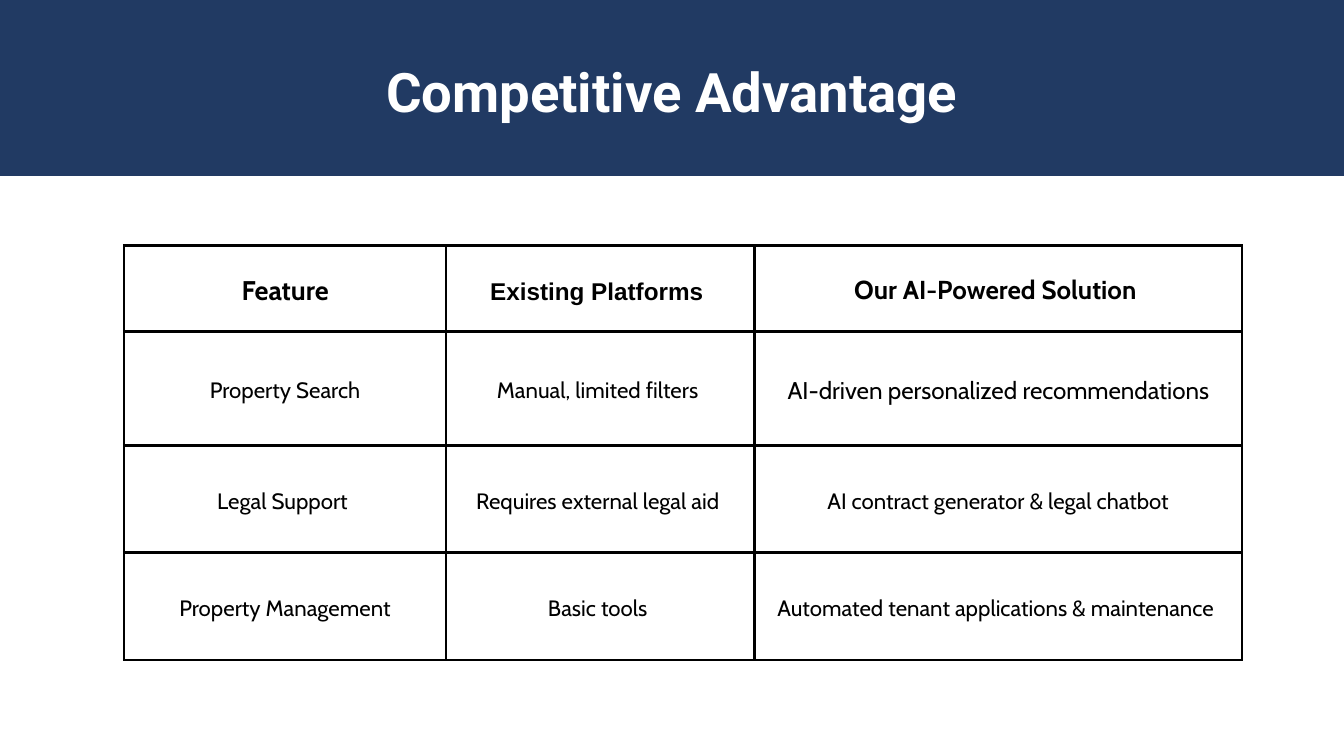
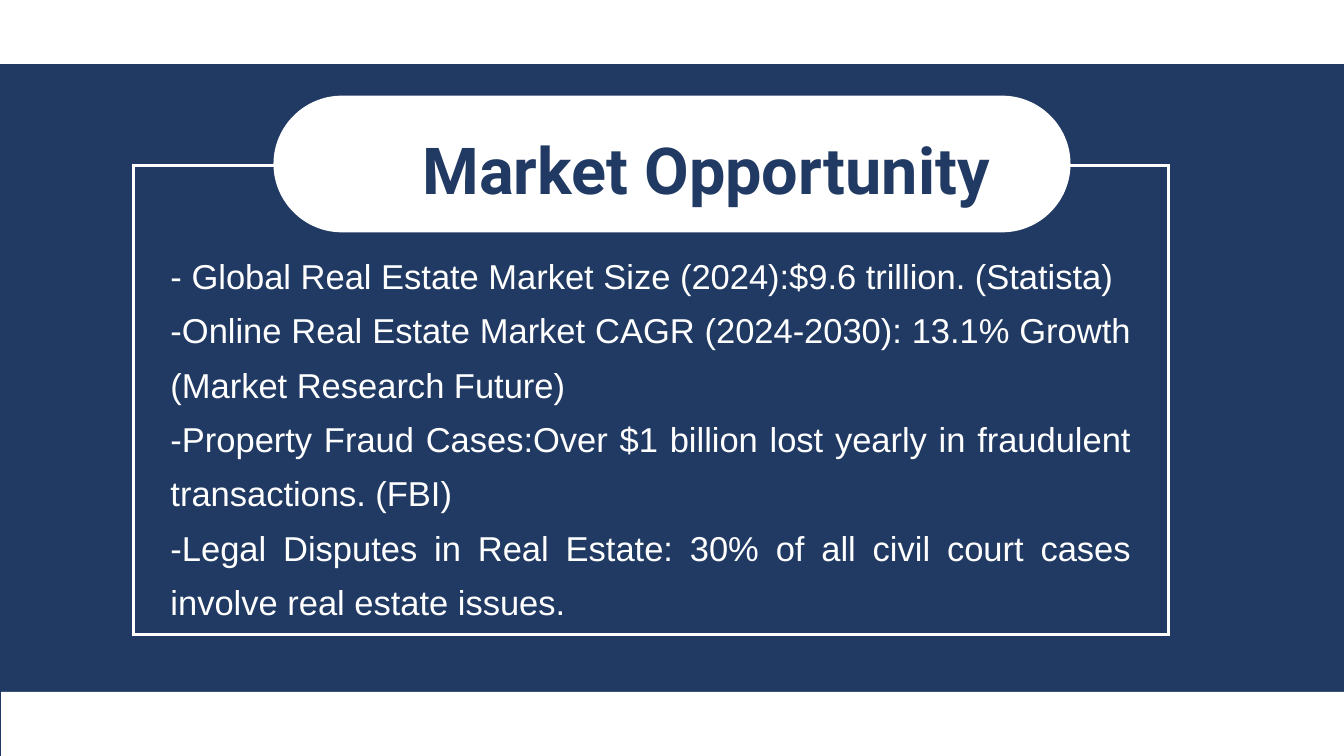
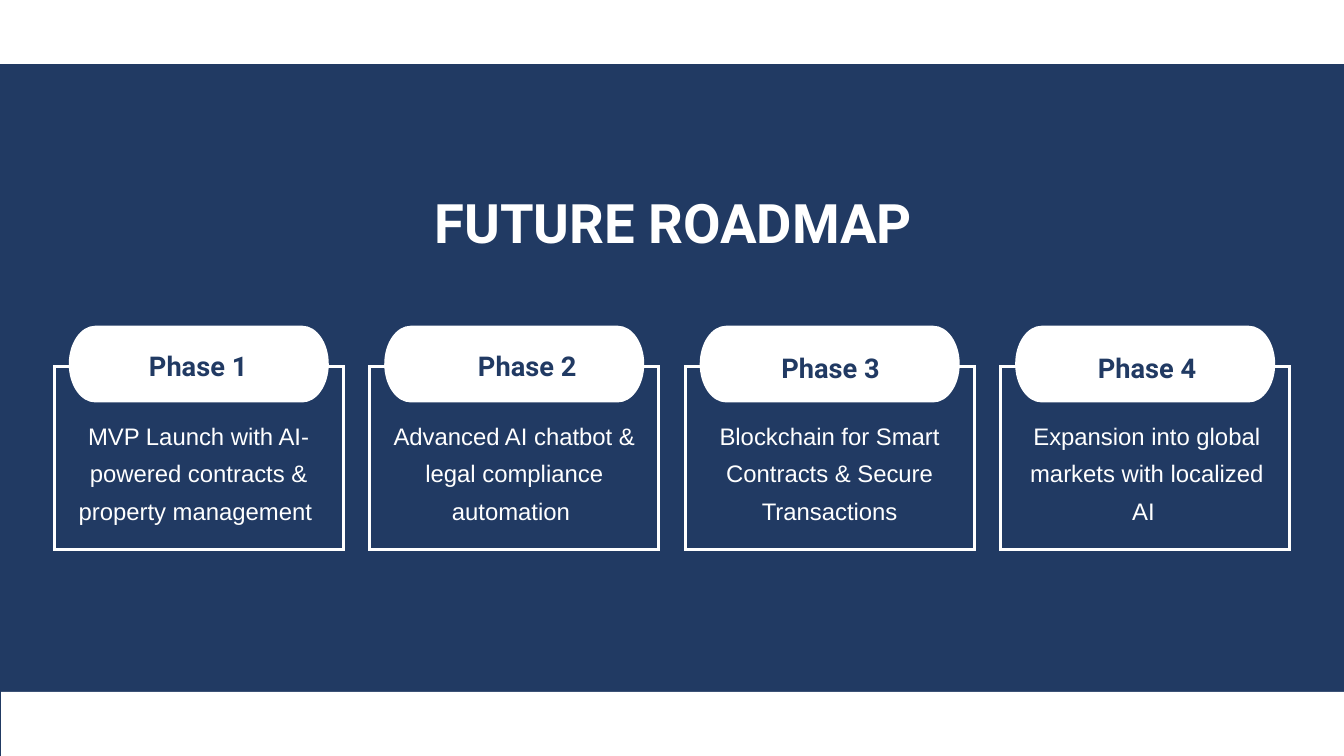
from lxml.etree import SubElement
from pptx import Presentation
from pptx.dml.color import RGBColor
from pptx.enum.shapes import MSO_SHAPE
from pptx.enum.text import MSO_ANCHOR, MSO_AUTO_SIZE, PP_ALIGN
from pptx.oxml.ns import qn
from pptx.util import Pt

WIDTH, HEIGHT = 1440, 810
NAVY, WHITE, BLACK = "213A63", "FFFFFF", "000000"
HEADING_FONT, BODY_FONT, TABLE_FONT = "Roboto", "Arial", "Cabin"
LINE_WIDTH = 3
LINE_RATIO = 1.4
BODY_RATIO = 1.574
BAND_HEIGHT = 68.6
CURVE = 0.55  # handle length of a quarter ellipse

COLUMN_WIDTHS = (344.9, 330.5, 522.4)
ROW_HEIGHTS = (92.2, 122.4, 114.8, 114.8)
FEATURES = (
    ("Feature", "Existing Platforms ", "Our AI-Powered Solution "),
    ("Property Search", "Manual, limited filters ", "AI-driven personalized recommendations"),
    ("Legal Support ", "Requires external legal aid ", "AI contract generator & legal chatbot"),
    ("Property Management", "Basic tools ", "Automated tenant applications & maintenance "),
)
# Cells that differ from the usual format, by row and column
CELL_FORMATS = {
    (0, 0): {"size": 28.86},
    (0, 1): {"size": 26, "font": BODY_FONT},
    (0, 2): {"size": 27.86},
    (1, 2): {"size": 25.86},
}

MARKET_FACTS = (
    "- Global Real Estate Market Size (2024):$9.6 trillion. (Statista) ",
    "-Online Real Estate Market CAGR (2024-2030): 13.1% Growth (Market Research Future) ",
    "-Property Fraud Cases:Over $1 billion lost yearly in fraudulent transactions. (FBI) ",
    "-Legal Disputes in Real Estate: 30% of all civil court cases involve real estate issues. ",
)

# Phase name, its left and top, description, its left
PHASES = (
    ("Phase 1", 107.3, 368, "MVP Launch with AI-powered contracts & property management ", 82.8),
    ("Phase 2", 459.8, 368, "Advanced AI chatbot & legal compliance automation ", 421),
    ("Phase 3", 784.8, 370.8, "Blockchain for Smart Contracts & Secure Transactions", 758.9),
    ("Phase 4", 1123.9, 370.8, "Expansion into global markets with localized AI ", 1098.7),
)
PHASE_LEFT, PHASE_PITCH = 58.3, 338


def color(value):
    return RGBColor.from_string(value)


def add_slide(presentation, background):
    slide = presentation.slides.add_slide(presentation.slide_layouts[6])
    slide.background.fill.solid()
    slide.background.fill.fore_color.rgb = color(background)
    return slide


def paint(shape, fill=None, line=None):
    shape.shadow.inherit = False
    if fill:
        shape.fill.solid()
        shape.fill.fore_color.rgb = color(fill)
    else:
        shape.fill.background()
    if line:
        shape.line.color.rgb = color(line)
        shape.line.width = Pt(LINE_WIDTH)
        SubElement(shape.line._get_or_add_ln(), qn("a:miter"), lim="800000")
    else:
        shape.line.fill.background()


def add_rectangle(slide, left, top, width, height, **colors):
    shape = slide.shapes.add_shape(
        MSO_SHAPE.RECTANGLE, Pt(left), Pt(top), Pt(width), Pt(height))
    paint(shape, **colors)


def add_pill(slide, left, top, width, height, cap_width):
    """Add a white bar whose two ends are half ellipses of the given width."""
    middle, bottom = top + height / 2, top + height
    rise, reach = CURVE * height / 2, CURVE * cap_width

    def cap(edge, center, outward, first, last):
        """List the two curves of an end, each as two handles and a point."""
        turn = rise if last > first else -rise
        return [(center + outward * reach, first), (edge, middle - turn), (edge, middle),
                (edge, middle + turn), (center + outward * reach, last), (center, last)]

    right_center, left_center = left + width - cap_width, left + cap_width
    points = [(right_center, top), *cap(left + width, right_center, 1, top, bottom),
              (left_center, bottom), *cap(left, left_center, -1, bottom, top)]
    points = [(Pt(x), Pt(y)) for x, y in points]
    builder = slide.shapes.build_freeform(*points[0])
    builder.add_line_segments(points[1:], close=True)
    shape = builder.convert_to_shape()
    segments = list(shape._element.iter(qn("a:lnTo")))
    for start in (0, 3, 7, 10):
        bend_segments(segments[start:start + 3])
    paint(shape, fill=WHITE)


def bend_segments(segments):
    """Turn three straight segments into one curve through their points."""
    first = segments[0]
    first.tag = qn("a:cubicBezTo")
    for segment in segments[1:]:
        first.append(segment[0])
        segment.getparent().remove(segment)


def write_paragraph(paragraph, text, size, ratio=LINE_RATIO, font=BODY_FONT, ink=WHITE,
                    bold=False, align=PP_ALIGN.CENTER):
    paragraph.alignment = align
    paragraph.line_spacing = Pt(size * ratio)
    run = paragraph.add_run()
    run.text = text
    run.font.name = font
    run.font.size = Pt(size)
    run.font.bold = bold
    run.font.color.rgb = color(ink)


def add_text(slide, left, top, width, height, *texts, **text_format):
    """Add a text box without insets, with one paragraph for each text."""
    box = slide.shapes.add_textbox(Pt(left), Pt(top), Pt(width), Pt(height))
    frame = box.text_frame
    frame.word_wrap = True
    frame.auto_size = MSO_AUTO_SIZE.SHAPE_TO_FIT_TEXT
    frame.margin_left = frame.margin_right = frame.margin_top = frame.margin_bottom = 0
    for index, text in enumerate(texts):
        paragraph = frame.add_paragraph() if index else frame.paragraphs[0]
        write_paragraph(paragraph, text, **text_format)


def add_title(slide, text, left, top):
    add_text(slide, left, top, 1126, 78.5, text, size=58.33, font=HEADING_FONT, bold=True)


def add_edge_bands(slide):
    add_rectangle(slide, 0, 0, WIDTH, BAND_HEIGHT, fill=WHITE)
    add_rectangle(slide, 1.1, HEIGHT - BAND_HEIGHT, WIDTH - 1.1, BAND_HEIGHT, fill=WHITE)


def set_borders(cell):
    properties = cell._tc.get_or_add_tcPr()
    for side in ("a:lnL", "a:lnR", "a:lnT", "a:lnB"):
        border = SubElement(properties, qn(side), w=str(Pt(LINE_WIDTH)))
        fill = SubElement(border, qn("a:solidFill"))
        SubElement(fill, qn("a:srgbClr"), val=BLACK)


def add_feature_table(slide, left, top):
    table = slide.shapes.add_table(
        len(ROW_HEIGHTS), len(COLUMN_WIDTHS), Pt(left), Pt(top),
        Pt(sum(COLUMN_WIDTHS)), Pt(sum(ROW_HEIGHTS))).table
    table.first_row = table.horz_banding = False
    for column, width in zip(table.columns, COLUMN_WIDTHS):
        column.width = Pt(width)
    for row, height in zip(table.rows, ROW_HEIGHTS):
        row.height = Pt(height)
    for row_index, texts in enumerate(FEATURES):
        for column_index, text in enumerate(texts):
            cell = table.cell(row_index, column_index)
            set_borders(cell)
            cell.fill.background()
            cell.vertical_anchor = MSO_ANCHOR.MIDDLE
            cell.margin_left = cell.margin_right = Pt(15)
            cell.margin_top = cell.margin_bottom = Pt(15)
            text_format = {"size": 23.86, "font": TABLE_FONT}
            text_format.update(CELL_FORMATS.get((row_index, column_index), {}))
            write_paragraph(cell.text_frame.paragraphs[0], text, ink=BLACK,
                            bold=row_index == 0, **text_format)


def build_advantage(presentation):
    slide = add_slide(presentation, WHITE)
    add_rectangle(slide, 0, 0, WIDTH, 188.6, fill=NAVY)
    add_feature_table(slide, 133, 262.8)
    add_title(slide, "Competitive Advantage", 157, 50.4)


def build_market(presentation):
    slide = add_slide(presentation, NAVY)
    add_rectangle(slide, 142.6, 177.1, 1109.5, 502.6, line=WHITE)
    add_pill(slide, 293, 102.5, 854, 146.4, cap_width=73.2)
    add_edge_bands(slide)
    add_text(slide, 182.7, 259.2, 1029.6, 401, *MARKET_FACTS,
             size=37, ratio=BODY_RATIO, align=PP_ALIGN.JUSTIFY)
    add_text(slide, 424.1, 125.3, 665.3, 93.6, "Market Opportunity",
             size=69.35, font=HEADING_FONT, ink=NAVY, bold=True)


def build_roadmap(presentation):
    slide = add_slide(presentation, NAVY)
    lefts = [PHASE_LEFT + index * PHASE_PITCH for index in range(len(PHASES))]
    for left in lefts:
        add_rectangle(slide, left, 393, 309.6, 196, line=WHITE)
    for left in lefts:
        add_pill(slide, left + 15.4, 349, 278.6, 82.2, cap_width=28.4)
    add_edge_bands(slide)
    add_title(slide, "FUTURE ROADMAP", 158.4, 190.8)
    for name, name_left, name_top, description, description_left in PHASES:
        add_text(slide, description_left, 442, 260, 118.8, description,
                 size=25.6, ratio=BODY_RATIO)
        add_text(slide, name_left, name_top, 210.2, 38.9, name,
                 size=29.15, font=HEADING_FONT, ink=NAVY, bold=True)


def main():
    presentation = Presentation()
    presentation.slide_width, presentation.slide_height = Pt(WIDTH), Pt(HEIGHT)
    build_advantage(presentation)
    build_market(presentation)
    build_roadmap(presentation)
    presentation.save("out.pptx")


if __name__ == "__main__":
    main()
